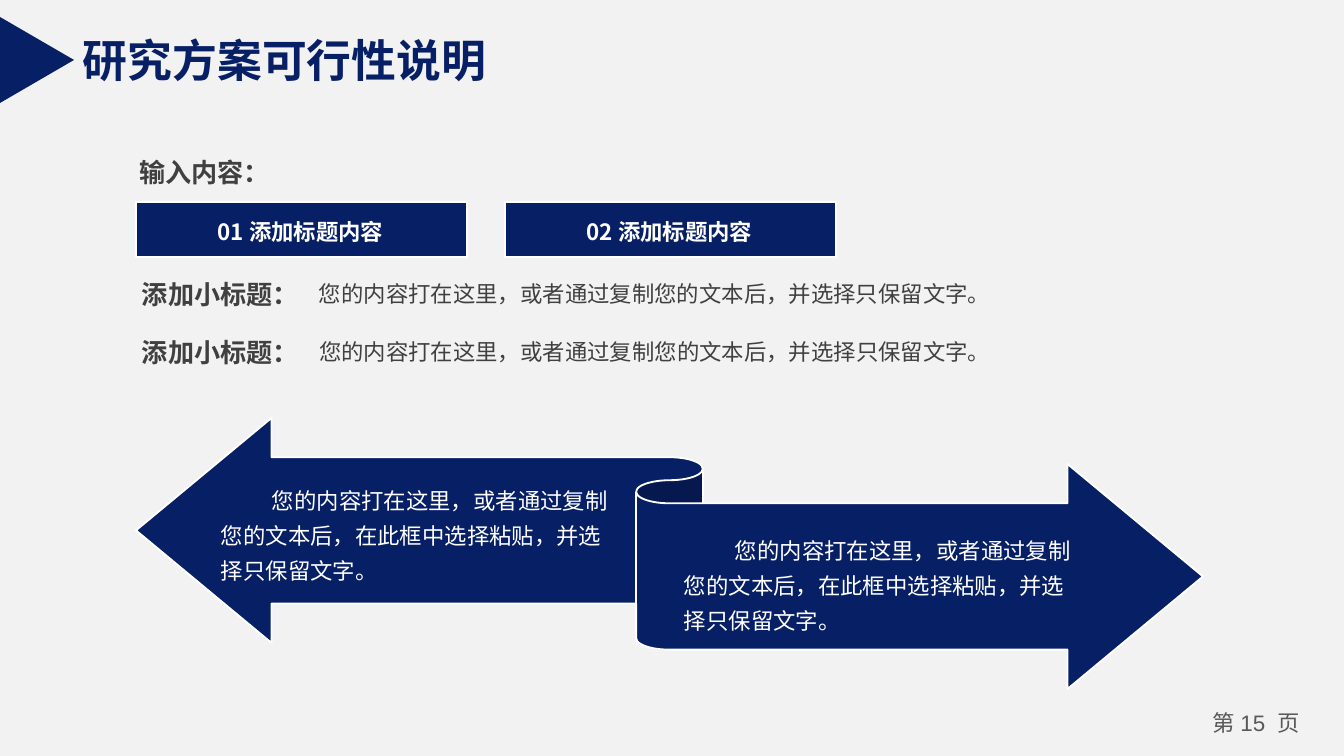
from lxml import etree
from pptx import Presentation
from pptx.dml.color import RGBColor
from pptx.enum.shapes import MSO_SHAPE
from pptx.enum.text import MSO_ANCHOR, PP_ALIGN
from pptx.oxml.ns import qn
from pptx.util import Emu, Pt

NAVY = RGBColor(0x07, 0x1F, 0x65)
WHITE = RGBColor(0xFF, 0xFF, 0xFF)
PAPER = RGBColor(0xF2, 0xF2, 0xF2)
DARK = RGBColor(0x40, 0x40, 0x40)
GRAY = RGBColor(0x59, 0x59, 0x59)
RECTANGLE = MSO_SHAPE.RECTANGLE
RIBBON = MSO_SHAPE.LEFT_RIGHT_RIBBON
TRIANGLE = MSO_SHAPE.ISOSCELES_TRIANGLE
TOP, MIDDLE = MSO_ANCHOR.TOP, MSO_ANCHOR.MIDDLE
LEFT, CENTER = PP_ALIGN.LEFT, PP_ALIGN.CENTER
CJK, LATIN = "Noto Sans CJK SC", "Arial"
EMU_PER_PX = 914400 / 134.4
WIDE_INSET, TIGHT_INSET = (13, 7), (10, 5)

ROW_TEXT = "您的内容打在这里，或者通过复制您的文本后，并选择只保留文字。"
ARROW_TEXT = "您的内容打在这里，或者通过复制您的文本后，在此框中选择粘贴，并选择只保留文字。"


def px(length):
    return Emu(round(length * EMU_PER_PX))


class SlideBuilder:
    """Hold the slide style and draw each kind of element."""

    def __init__(self, presentation):
        self.slide = presentation.slides.add_slide(presentation.slide_layouts[6])
        background = self.slide.background.fill
        background.solid()
        background.fore_color.rgb = PAPER

    def shape(self, preset, box, outlined=True, adjustments=(), rotation=0):
        shape = self.slide.shapes.add_shape(preset, *map(px, box))
        shape.shadow.inherit = False
        shape.rotation = rotation
        shape.fill.solid()
        shape.fill.fore_color.rgb = NAVY
        if outlined:
            shape.line.color.rgb = WHITE
            shape.line.width = Pt(1)
        else:
            shape.line.fill.background()
        for index, value in enumerate(adjustments):
            shape.adjustments[index] = value

    def text(self, box, runs, size, color, bold=False, wrap=True, anchor=TOP,
             inset=WIDE_INSET, align=LEFT, spacing=1.0, indent=0):
        frame = self.slide.shapes.add_textbox(*map(px, box)).text_frame
        across, down = map(px, inset)
        frame_format = {
            "word_wrap": wrap, "vertical_anchor": anchor,
            "margin_left": across, "margin_right": across,
            "margin_top": down, "margin_bottom": down,
        }
        for name, value in frame_format.items():
            setattr(frame, name, value)
        paragraph = frame.paragraphs[0]
        paragraph.alignment = align
        paragraph.line_spacing = spacing
        if indent:
            paragraph._p.get_or_add_pPr().set("indent", str(px(indent)))
        for words, font_name in runs:
            run = paragraph.add_run()
            run.text = words
            font_format = {"name": font_name, "size": Pt(size), "bold": bold}
            for name, value in font_format.items():
                setattr(run.font, name, value)
            run.font.color.rgb = color
            east_asian = etree.SubElement(run._r.get_or_add_rPr(), qn("a:ea"))
            east_asian.set("typeface", CJK)


def main():
    presentation = Presentation()
    presentation.slide_width, presentation.slide_height = px(1344), px(756)
    page = SlideBuilder(presentation)

    page.text((1196, 704, 121, 40), [("第 ", CJK), ("15  ", LATIN), ("页", CJK)],
              12, GRAY, inset=TIGHT_INSET, align=CENTER)
    page.text((129, 151, 152, 42), [("输入内容：", CJK)], 14, DARK, bold=True,
              wrap=False, anchor=MIDDLE, inset=TIGHT_INSET)

    for index, heading in enumerate(("01 添加标题内容", "02 添加标题内容")):
        left = 136 + 369 * index
        page.shape(RECTANGLE, (left, 202, 331, 55))
        page.text((left, 211, 329, 40), [(heading, CJK)], 12, WHITE, bold=True,
                  align=CENTER)

    for index, text_width in enumerate((990, 820)):
        top = 271 + 58 * index
        page.text((129, top, 185, 46), [("添加小标题：", CJK)], 14, DARK, bold=True,
                  wrap=False, anchor=MIDDLE)
        page.text((306, top + 2, text_width, 40), [(ROW_TEXT, CJK)], 12, DARK)

    page.shape(RIBBON, (136, 418, 1067, 271), adjustments=(0.54, 0.5, 0.17))
    for left, top in ((208, 472), (671, 522)):
        page.text((left, top, 427, 120), [(ARROW_TEXT, CJK)], 12, WHITE,
                  spacing=1.3, indent=51)

    page.text((70, 26, 450, 67), [("研究方案可行性说明", LATIN)], 24, NAVY,
              bold=True, wrap=False)
    page.shape(TRIANGLE, (-6, 23, 86, 74), outlined=False, rotation=90)

    presentation.save("out.pptx")


if __name__ == "__main__":
    main()
